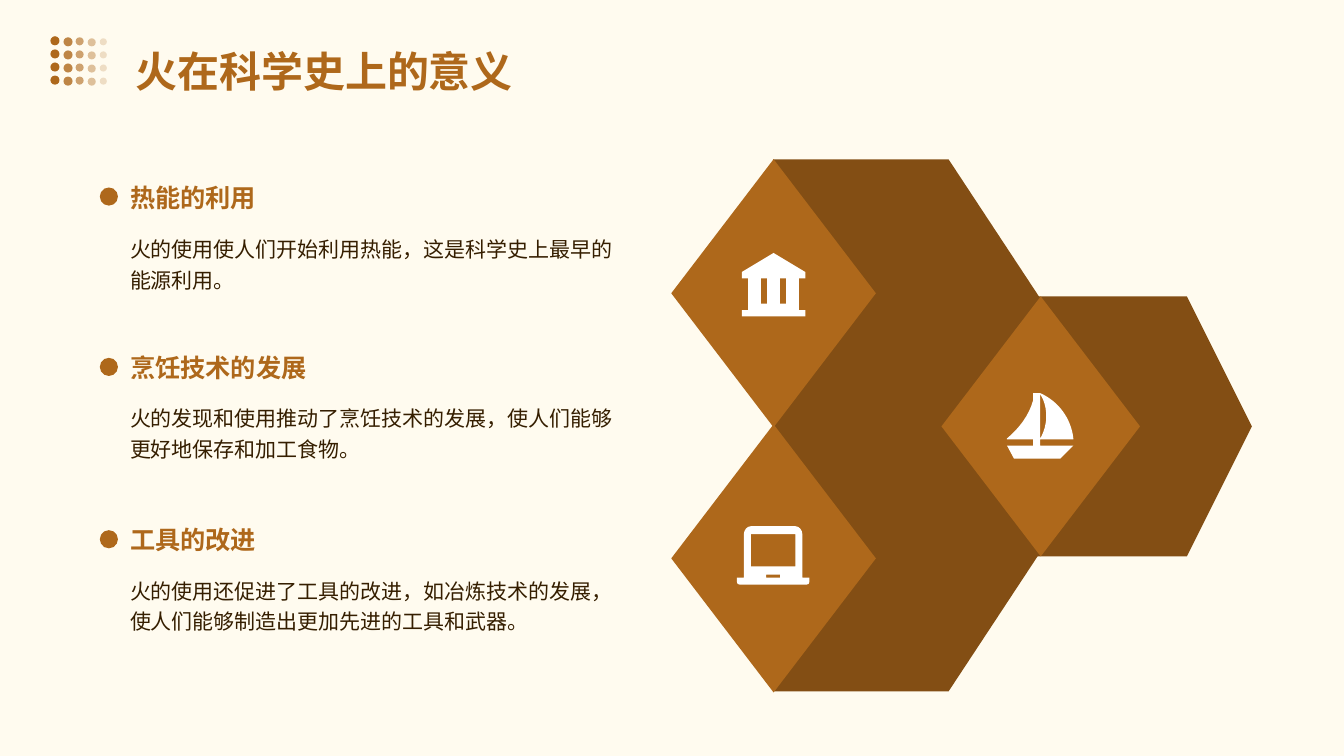
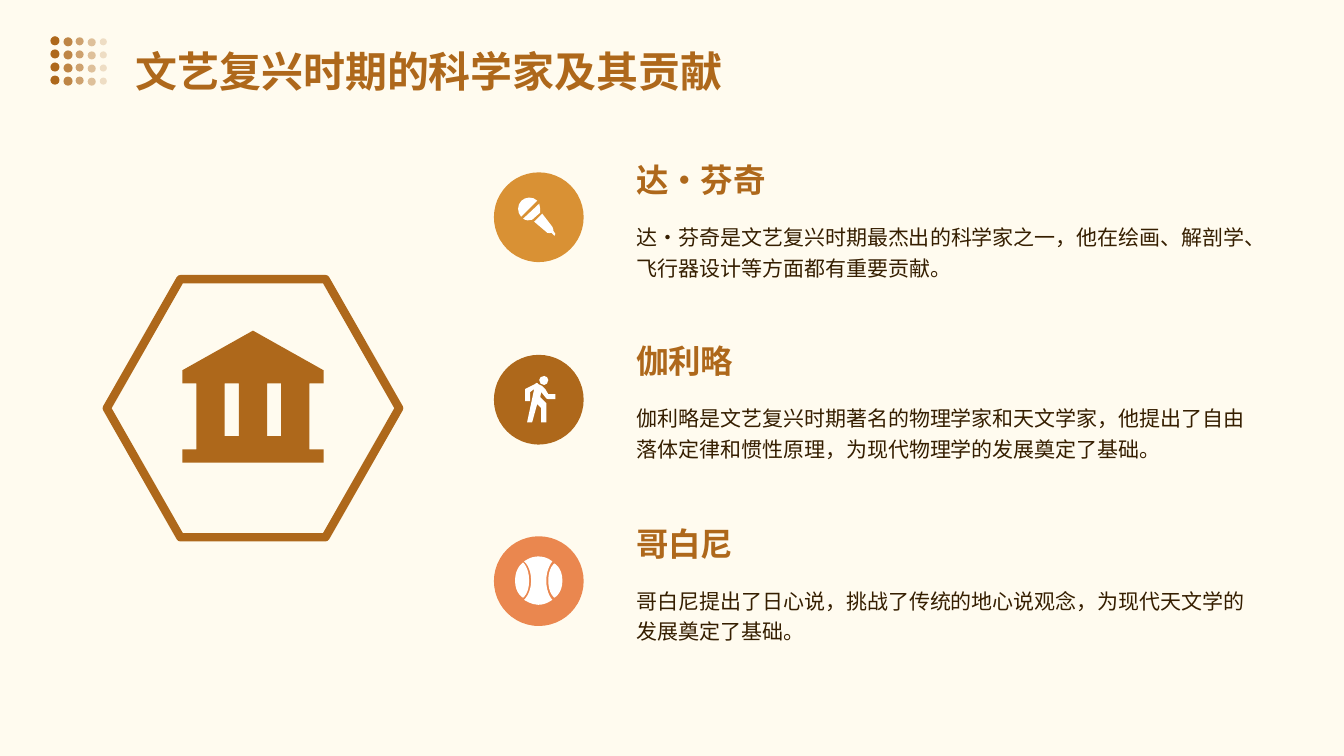
from dataclasses import dataclass
from typing import Any, Optional

from lxml.etree import SubElement
from pptx import Presentation
from pptx.dml.color import RGBColor
from pptx.enum.shapes import MSO_SHAPE as Preset
from pptx.enum.text import MSO_ANCHOR as Anchor, MSO_AUTO_SIZE as AutoSize, PP_ALIGN as Align
from pptx.oxml.ns import qn
from pptx.util import Pt

EMU_PER_PX = 9144


@dataclass(frozen=True)
class TextStyle:
    size: float
    line_height: int
    color: str
    bold: bool


@dataclass(frozen=True)
class Theme:
    font: str = "Noto Sans CJK SC"
    background: str = "FFFBEF"
    accent: str = "AE681B"
    dark: str = "834E14"
    amber: str = "D99134"
    coral: str = "EA874F"
    white: str = "FFFFFF"
    title: TextStyle = TextStyle(30, 51, "AE681B", True)
    heading: TextStyle = TextStyle(18, 26, "AE681B", True)
    name: TextStyle = TextStyle(23.2, 22, "AE681B", True)
    body: TextStyle = TextStyle(15, 22, "351E00", False)


THEME = Theme()


@dataclass(frozen=True)
class Box:
    left: int
    top: int
    width: int
    height: int

    def emu(self) -> tuple[int, ...]:
        return tuple(px(value) for value in (self.left, self.top, self.width, self.height))


@dataclass(frozen=True)
class Icon:
    outline: str
    width: int
    height: int


@dataclass(frozen=True)
class DotColumn:
    left: int
    top: int
    size: int
    opacity: int


@dataclass(frozen=True)
class Topic:
    top: int
    bullet_top: int
    heading: str
    body: str


@dataclass(frozen=True)
class Scientist:
    top: int
    circle_top: int
    name: str
    body: str
    color: str
    icon: Icon
    icon_left: int
    icon_top: int


@dataclass(frozen=True)
class IconDiamond:
    box: Box
    icon: Icon
    icon_box: Box


Margins = tuple[int, int, int, int]
Point = tuple[float, float]

TITLE_BOX = Box(120, 10, 1094, 100)
TITLE_MARGINS: Margins = (14, 14, 6, 14)
TEXT_MARGINS: Margins = (12, 6, 12, 6)
DOT_ROWS, DOT_PITCH = 4, 13
DOT_COLUMNS = (
    DotColumn(50, 36, 9, 100),
    DotColumn(63, 37, 9, 80),
    DotColumn(75, 37, 8, 60),
    DotColumn(87, 38, 8, 40),
    DotColumn(99, 38, 7, 20),
)

TEMPLE = Icon(
    "M 0 3 L 5 0 L 10 3 L 10 4 L 0 4 Z M 0 9 L 10 9 L 10 10 L 0 10 Z"
    "M 1 8 L 9 8 L 9 9 L 1 9 Z M 1 4 L 3 4 L 3 8 L 1 8 Z"
    "M 4 4 L 6 4 L 6 8 L 4 8 Z M 7 4 L 9 4 L 9 8 L 7 8 Z", 10, 10)
LAPTOP = Icon(
    "M 65 51 L 72 51 L 72 55 C 72 57 71 58 69 58 L 3 58 C 1 58 0 57 0 55 L 0 51"
    "L 7 51 L 7 8 C 7 4 10 0 14 0 L 58 0 C 62 0 65 4 65 8 Z"
    "M 14 8 L 14 40 L 58 40 L 58 8 Z M 29 48 L 29 51 L 43 51 L 43 48 Z", 72, 58)
SAILBOAT = Icon(
    "M 26 6 L 26 0 L 33 0 L 33 52 L 66 52 L 53 65 L 7 65 L 0 52 L 26 52 L 26 46"
    "L 0 46 L 0 45 C 12 35 22 22 26 7 Z"
    "M 66 46 L 33 46 L 33 45 C 37 38 39 31 39 23 C 39 15 37 7 33 1 L 33 0"
    "C 51 8 64 25 66 46 Z", 66, 65)
BALL = Icon(
    "M 31 24 C 31 12 37 5 37 5 C 37 5 32 0 23 0 C 15 0 9 5 9 5 C 9 5 16 10 16 24"
    "C 16 37 9 43 9 43 C 9 43 16 48 23 48 C 31 48 37 43 37 43 C 37 43 31 37 31 24 Z"
    "M 8 6 C 8 6 0 11 0 24 C 0 37 8 41 8 41 C 8 41 14 37 14 24 C 14 11 8 6 8 6 Z"
    "M 39 7 C 39 7 33 11 33 24 C 33 37 39 41 39 41 C 39 41 47 37 47 24"
    "C 47 11 39 7 39 7 Z", 47, 48)
MICROPHONE = Icon(
    "M 22 15 C 22 12 22 9 21 6 L 5 21 C 8 23 11 23 14 22 Z"
    "M 19 3 C 17 1 14 0 11 0 C 5 0 0 5 0 11 C 0 14 1 17 3 19 Z"
    "M 35 33 C 35 33 35 30 34 29 L 24 16 L 16 24 L 29 35 C 30 36 33 35 33 35"
    "L 36 38 L 37 36 Z", 37, 38)
WALKER = Icon(
    "M 16 16 L 20 21 C 20 22 22 23 23 23 L 30 23 L 30 18 L 23 18 L 20 13"
    "C 19 12 18 11 17 10 L 13 8 C 13 7 12 7 11 7 C 11 7 10 7 10 8 L 0 13 L 0 25"
    "L 5 25 L 5 16 L 9 13 L 2 46 L 7 46 L 12 28 L 16 32 L 16 46 L 21 46 L 21 27"
    "L 15 21 Z M 19 9 C 21 9 23 7 23 4 C 23 2 21 0 19 0 C 16 0 14 2 14 4"
    "C 14 7 16 9 19 9 Z", 30, 46)
HEXAGON = Icon("M 0 128 L 73 0 L 217 0 L 290 128 L 217 256 L 73 256 Z", 290, 256)

TOPICS = (
    Topic(169, 186, "热能的利用", "火的使用使人们开始利用热能，这是科学史上最早的能源利用。"),
    Topic(337, 355, "烹饪技术的发展",
          "火的发现和使用推动了烹饪技术的发展，使人们能够更好地保存和加工食物。"),
    Topic(508, 526, "工具的改进",
          "火的使用还促进了工具的改进，如冶炼技术的发展，使人们能够制造出更加先进的工具和武器。"),
)
DIAMONDS = (
    IconDiamond(Box(666, 158, 203, 266), TEMPLE, Box(736, 251, 63, 63)),
    IconDiamond(Box(666, 421, 203, 266), LAPTOP, Box(731, 522, 72, 58)),
    IconDiamond(Box(934, 294, 197, 258), SAILBOAT, Box(999, 390, 66, 65)),
)
SCIENTISTS = (
    Scientist(161, 171, "达·芬奇",
              "达·芬奇是文艺复兴时期最杰出的科学家之一，他在绘画、解剖学、飞行器设计等方面都有重要贡献。",
              THEME.amber, MICROPHONE, 514, 196),
    Scientist(341, 352, "伽利略",
              "伽利略是文艺复兴时期著名的物理学家和天文学家，他提出了自由落体定律和惯性原理，为现代物理学的发展奠定了基础。",
              THEME.accent, WALKER, 521, 373),
    Scientist(522, 532, "哥白尼",
              "哥白尼提出了日心说，挑战了传统的地心说观念，为现代天文学的发展奠定了基础。",
              THEME.coral, BALL, 511, 552),
)


def px(value: float) -> int:
    return round(value * EMU_PER_PX)


def set_all(target: Any, values: dict[str, Any]) -> None:
    for name, value in values.items():
        setattr(target, name, value)


def paint(shape: Any, fill: str, line: Optional[str] = None, line_width: int = 0) -> None:
    shape.shadow.inherit = False
    shape.fill.solid()
    shape.fill.fore_color.rgb = RGBColor.from_string(fill)
    if line is None:
        shape.line.fill.background()
    else:
        shape.line.color.rgb = RGBColor.from_string(line)
        shape.line.width = Pt(line_width)


def add_preset(shapes: Any, preset: Preset, box: Box, fill: str, opacity: int = 100) -> None:
    shape = shapes.add_shape(preset, *box.emu())
    paint(shape, fill)
    if opacity < 100:
        color = shape.element.spPr.find(qn("a:solidFill"))[0]
        SubElement(color, qn("a:alpha")).set("val", str(opacity * 1000))


def trace(contour: str) -> tuple[list[Point], str]:
    points: list[Point] = []
    commands = ""
    for segment in contour.replace("L", "|L").replace("C", "|C").split("|"):
        command, *numbers = segment.split()
        values = [float(number) for number in numbers]
        pairs = list(zip(values[::2], values[1::2]))
        points += pairs
        commands += command * len(pairs)
    return points, commands[1:]


def bend(shape: Any, commands: str) -> None:
    lines = list(shape.element.spPr.iter(qn("a:lnTo")))
    curved = [line for line, command in zip(lines, commands) if command == "C"]
    for first, second, third in zip(curved[::3], curved[1::3], curved[2::3]):
        first.tag = qn("a:cubicBezTo")
        for line in (second, third):
            first.append(line[0])
            line.getparent().remove(line)


def add_icon(slide: Any, icon: Icon, box: Box, fill: str,
             line: Optional[str] = None, line_width: int = 0) -> None:
    builder = None
    all_commands = ""
    for contour in icon.outline.split("Z")[:-1]:
        grid_points, commands = trace(contour)
        all_commands += commands
        points = [(px(box.left + x * box.width / icon.width),
                   px(box.top + y * box.height / icon.height)) for x, y in grid_points]
        if builder is None:
            builder = slide.shapes.build_freeform(*points[0])
        else:
            builder.move_to(*points[0])
        builder.add_line_segments(points[1:], close=True)
    shape = builder.convert_to_shape()
    bend(shape, all_commands)
    paint(shape, fill, line, line_width)


def write(shape: Any, text: str, style: TextStyle, margins: Margins) -> None:
    frame = shape.text_frame
    left, top, right, bottom = (px(value) for value in margins)
    set_all(frame, {
        "text": text, "word_wrap": True, "auto_size": AutoSize.NONE,
        "vertical_anchor": Anchor.TOP, "margin_left": left, "margin_top": top,
        "margin_right": right, "margin_bottom": bottom,
    })
    paragraph = frame.paragraphs[0]
    set_all(paragraph, {"alignment": Align.LEFT, "line_spacing": Pt(style.line_height)})
    run = paragraph.runs[0]
    run.font.color.rgb = RGBColor.from_string(style.color)
    set_all(run.font, {"name": THEME.font, "size": Pt(style.size), "bold": style.bold})
    SubElement(run.font._element, qn("a:ea")).set("typeface", THEME.font)


def add_text(slide: Any, box: Box, text: str, style: TextStyle) -> None:
    write(slide.shapes.add_textbox(*box.emu()), text, style, TEXT_MARGINS)


def add_titled_slide(presentation: Any, title: str) -> Any:
    slide = presentation.slides.add_slide(presentation.slide_layouts[5])
    placeholder = slide.shapes.title
    left, top, width, height = TITLE_BOX.emu()
    set_all(placeholder, {"left": left, "top": top, "width": width, "height": height})
    write(placeholder, title, THEME.title, TITLE_MARGINS)
    dots = slide.shapes.add_group_shape()
    for row in range(DOT_ROWS):
        for column in DOT_COLUMNS:
            box = Box(column.left, column.top + row * DOT_PITCH, column.size, column.size)
            add_preset(dots.shapes, Preset.OVAL, box, THEME.accent, column.opacity)
    return slide


def build_fire_slide(presentation: Any) -> None:
    slide = add_titled_slide(presentation, "火在科学史上的意义")
    add_preset(slide.shapes, Preset.HEXAGON, Box(941, 294, 301, 258), THEME.dark)
    add_preset(slide.shapes, Preset.PENTAGON, Box(767, 158, 348, 528), THEME.dark)
    for diamond in DIAMONDS:
        add_preset(slide.shapes, Preset.DIAMOND, diamond.box, THEME.accent)
    for diamond in DIAMONDS:
        add_icon(slide, diamond.icon, diamond.icon_box, THEME.white)
    for topic in TOPICS:
        add_preset(slide.shapes, Preset.OVAL, Box(99, topic.bullet_top, 18, 18), THEME.accent)
        add_text(slide, Box(117, topic.top, 271, 51), topic.heading, THEME.heading)
        add_text(slide, Box(117, topic.top + 54, 510, 77), topic.body, THEME.body)


def build_scientists_slide(presentation: Any) -> None:
    slide = add_titled_slide(presentation, "文艺复兴时期的科学家及其贡献")
    add_icon(slide, HEXAGON, Box(106, 277, 290, 256), THEME.background, THEME.accent, 6)
    add_icon(slide, TEMPLE, Box(181, 328, 140, 131), THEME.accent)
    for person in SCIENTISTS:
        add_preset(slide.shapes, Preset.OVAL, Box(490, person.circle_top, 89, 89), person.color)
        icon = person.icon
        icon_box = Box(person.icon_left, person.icon_top, icon.width, icon.height)
        add_icon(slide, icon, icon_box, THEME.white)
        add_text(slide, Box(619, person.top, 494, 44), person.name, THEME.name)
        add_text(slide, Box(619, person.top + 50, 632, 77), person.body, THEME.body)


def main() -> None:
    presentation = Presentation()
    height = px(750)
    set_all(presentation, {"slide_width": height * 16 // 9, "slide_height": height})
    background = presentation.slide_master.background.fill
    background.solid()
    background.fore_color.rgb = RGBColor.from_string(THEME.background)
    build_fire_slide(presentation)
    build_scientists_slide(presentation)
    presentation.save("out.pptx")


if __name__ == "__main__":
    main()
